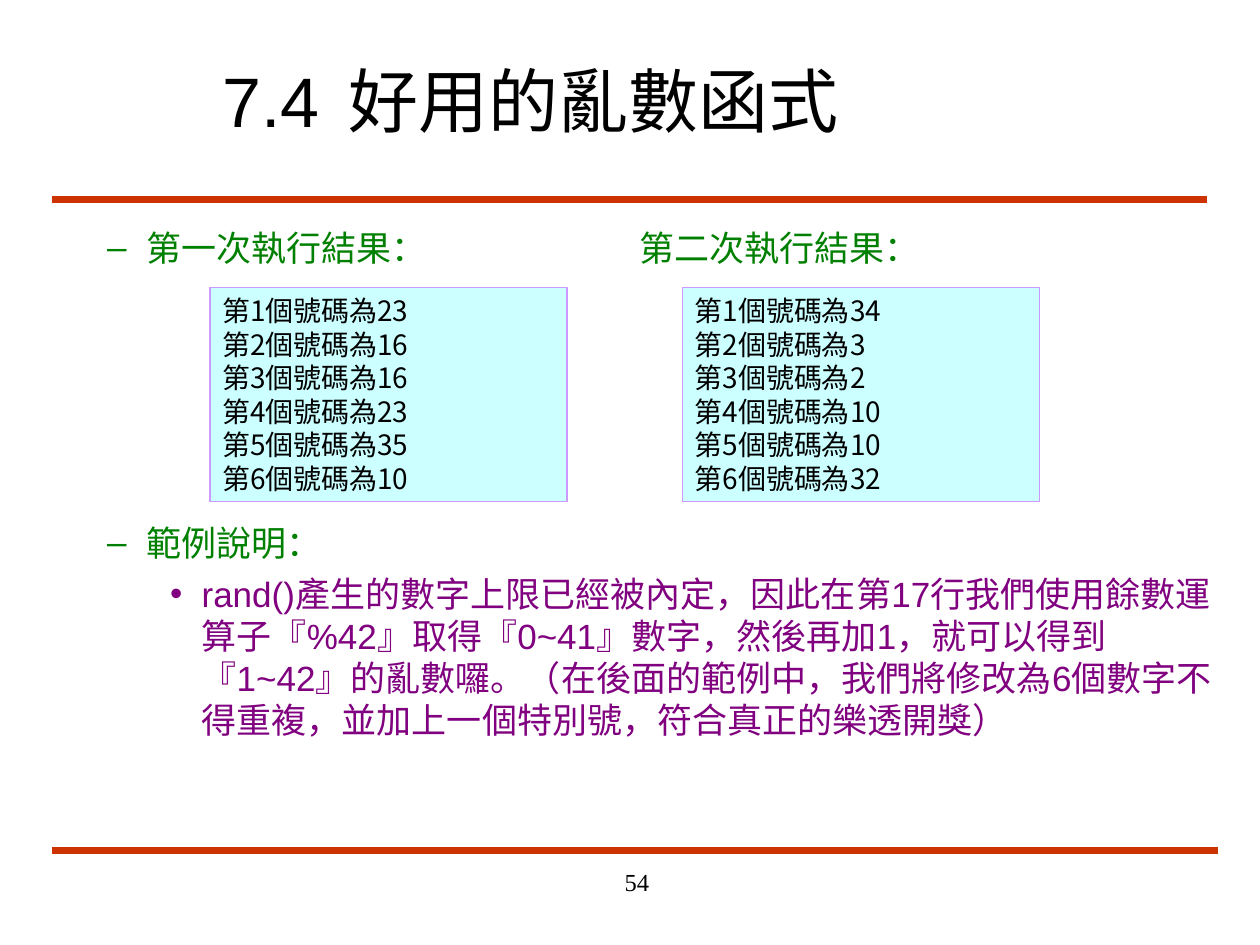
"""Build the slide on random number functions with two sample runs."""
import dataclasses

import pptx
import pptx.dml.color
import pptx.enum.shapes
import pptx.enum.text
import pptx.oxml.ns
import pptx.util
from lxml import etree

Pt = pptx.util.Pt
Align = pptx.enum.text.PP_ALIGN
Anchor = pptx.enum.text.MSO_ANCHOR
Fit = pptx.enum.text.MSO_AUTO_SIZE
qn = pptx.oxml.ns.qn


@dataclasses.dataclass(frozen=True)
class Theme:
    ink: str = "000000"
    green: str = "008000"
    purple: str = "800080"
    rule: str = "CC3300"
    fill: str = "CCFFFF"
    edge: str = "CC99FF"
    title: int = 40
    body: int = 20
    code: int = 16
    page: int = 14
    sans: str = "Arial"
    serif: str = "Times New Roman"
    cjk: str = "Noto Sans CJK TC"


look = Theme()


def color(code):
    return pptx.dml.color.RGBColor.from_string(code)


def write(frame, text, size, tint=look.ink, font=look.sans, align=Align.LEFT,
          level=0, before=0, left=0, hang=0, mark=None, tab=None):
    para = frame.paragraphs[0]
    if para.runs:
        para = frame.add_paragraph()
    para.alignment, para.level = align, level
    para.space_before = Pt(before)
    run = para.add_run()
    run.text = text
    run.font.size, run.font.name = Pt(size), font
    run.font.color.rgb = color(tint)
    etree.SubElement(run.font._element, qn("a:ea"), typeface=look.cjk)
    prop = para._p.get_or_add_pPr()
    prop.set("marL", str(Pt(left)))
    prop.set("indent", str(Pt(-hang)))
    if mark:
        tone = etree.SubElement(prop, qn("a:buClr"))
        etree.SubElement(tone, qn("a:srgbClr"), val=tint)
        etree.SubElement(prop, qn("a:buFont"), typeface=font)
        etree.SubElement(prop, qn("a:buChar"), char=mark)
    if tab:
        tabs = etree.SubElement(prop, qn("a:tabLst"))
        etree.SubElement(tabs, qn("a:tab"), pos=str(Pt(tab)), algn="l")


deck = pptx.Presentation()
deck.slide_width, deck.slide_height = Pt(720), Pt(540)
slide = deck.slides.add_slide(deck.slide_layouts[1])
shapes = slide.shapes

for end, y in ((690, 114), (696, 486)):
    rule = shapes.add_connector(
        pptx.enum.shapes.MSO_CONNECTOR.STRAIGHT, Pt(30), Pt(y), Pt(end), Pt(y))
    rule.line.color.rgb = color(look.rule)
    rule.line.width = Pt(4.5)
    etree.SubElement(rule._element.spPr, qn("a:effectLst"))

title, body = shapes.title, slide.placeholders[1]
for holder, box in ((title, (120, 24, 546, 66)), (body, (18, 126, 684, 348))):
    holder.left, holder.top, holder.width, holder.height = map(Pt, box)
    holder.text_frame.auto_size = Fit.NONE
title.text_frame.vertical_anchor = Anchor.MIDDLE
write(title.text_frame, "7.4\t好用的亂數函式", look.title, tab=72)

dash = dict(size=look.body, tint=look.green, level=1, left=58.5, hang=22.5, mark="–")
write(body.text_frame, "第一次執行結果：\t第二次執行結果：", before=5, tab=340, **dash)
write(body.text_frame, "範例說明：", before=144.5, **dash)
write(body.text_frame,
      "rand()產生的數字上限已經被內定，因此在第17行我們使用餘數運算子『%42』取得『0~41』數字，"
      "然後再加1，就可以得到『1~42』的亂數囉。（在後面的範例中，我們將修改為6個數字不得重複，"
      "並加上一個特別號，符合真正的樂透開獎）",
      look.body, look.purple, level=2, before=5, left=90, hang=18, mark="•")

draws = ((120, (23, 16, 16, 23, 35, 10)), (390, (34, 3, 2, 10, 10, 32)))
for x, nums in draws:
    panel = shapes.add_shape(
        pptx.enum.shapes.MSO_SHAPE.RECTANGLE, Pt(x), Pt(164.25), Pt(204), Pt(122.5))
    panel.shadow.inherit = False
    panel.fill.solid()
    panel.fill.fore_color.rgb = color(look.fill)
    panel.line.color.rgb = color(look.edge)
    panel.line.width = Pt(0.75)
    panel.text_frame.vertical_anchor = Anchor.TOP
    panel.text_frame.auto_size = Fit.SHAPE_TO_FIT_TEXT
    for rank, num in enumerate(nums, 1):
        write(panel.text_frame, f"第{rank}個號碼為{num}", look.code, font=look.cjk)

page = shapes.add_textbox(Pt(228), Pt(492), Pt(150), Pt(36))
page.text_frame.word_wrap = True
write(page.text_frame, "54", look.page, font=look.serif, align=Align.RIGHT)

deck.save("out.pptx")
